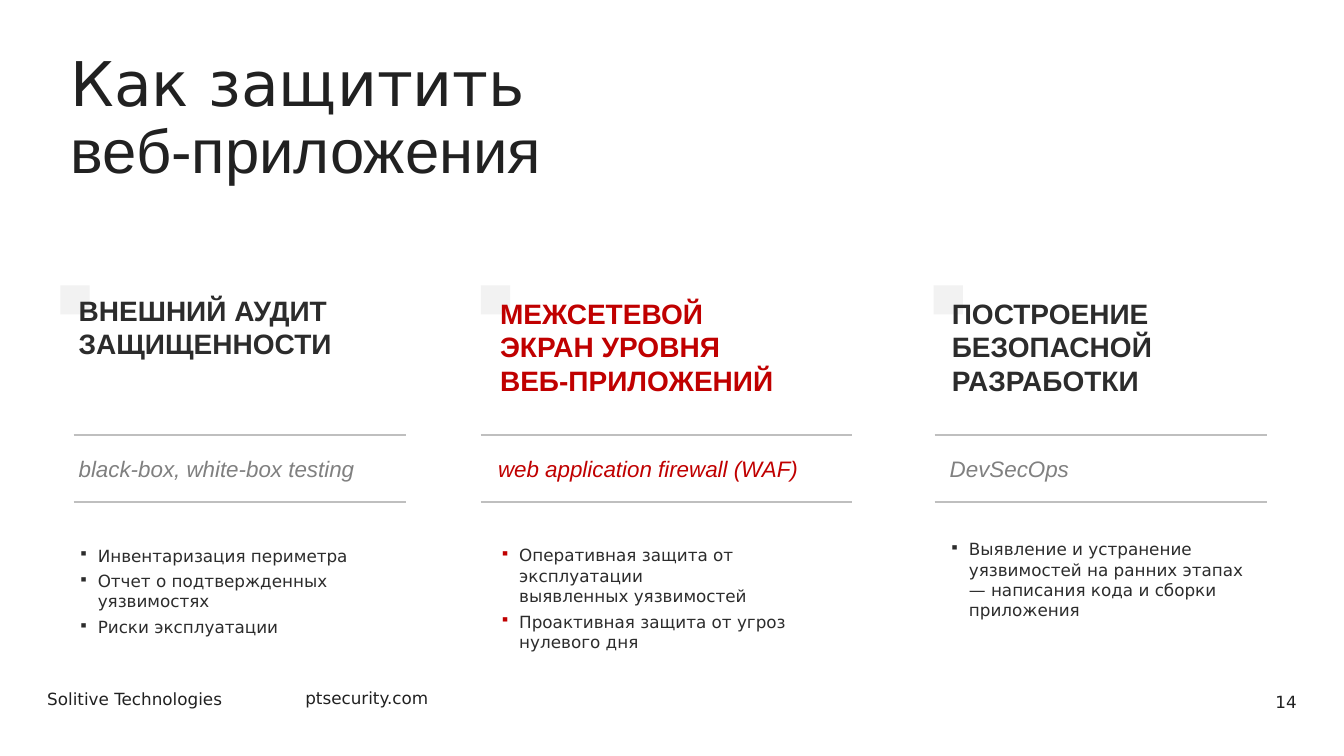
from dataclasses import dataclass

from lxml.etree import SubElement
from pptx import Presentation
from pptx.dml.color import RGBColor
from pptx.enum.shapes import MSO_CONNECTOR, MSO_SHAPE
from pptx.enum.text import MSO_ANCHOR, MSO_AUTO_SIZE, PP_ALIGN
from pptx.oxml.ns import qn
from pptx.util import Inches, Pt


@dataclass(frozen=True)
class Theme:
    ink: str = "212121"
    body: str = "2C2C2C"
    accent: str = "C00000"
    muted: str = "808080"
    rule: str = "BFBFBF"
    marker: str = "F2F2F2"
    sans: str = "DejaVu Sans"
    arial: str = "Arial"
    title_size: int = 44
    heading_size: int = 20
    term_size: int = 16
    small_size: int = 12


THEME = Theme()


@dataclass(frozen=True)
class Column:
    heading: list
    term: str
    bullets: list
    marker_left: float
    rule_left: float
    rule_width: float
    heading_at: tuple  # left, top, width, height
    term_left: float
    bullets_at: tuple
    highlighted: bool = False


COLUMNS = [
    Column(
        ["ВНЕШНИЙ АУДИТ", "ЗАЩИЩЕННОСТИ"],
        "black-box, white-box testing",
        ["Инвентаризация периметра", "Отчет о подтвержденных уязвимостях", "Риски эксплуатации"],
        0.6, 0.73, 3.3, (0.73, 2.86, 3.93, 0.77), 0.73, (0.73, 5.36, 3.3, 0.82),
    ),
    Column(
        ["МЕЖСЕТЕВОЙ\vЭКРАН УРОВНЯ\vВЕБ-ПРИЛОЖЕНИЙ"],
        "web application firewall (WAF)",
        ["Оперативная защита от эксплуатации\vвыявленных уязвимостей",
         "Проактивная защита от угроз\vнулевого дня"],
        4.77, 4.77, 3.68, (4.91, 2.89, 3.93, 1.11), 4.89, (4.91, 5.36, 3.3, 0.96),
        highlighted=True,
    ),
    Column(
        ["ПОСТРОЕНИЕ\vБЕЗОПАСНОЙ\vРАЗРАБОТКИ"],
        "DevSecOps",
        ["Выявление и устранение уязвимостей на ранних этапах "
         "— написания кода и сборки приложения"],
        9.26, 9.27, 3.3, (9.39, 2.89, 3.93, 1.11), 9.37, (9.37, 5.3, 3.2, 0.91),
    ),
]


def style_runs(para, font_name, size, color, bold=False, italic=False):
    for span in para.runs:
        span.font.name = font_name
        span.font.size = Pt(size)
        span.font.color.rgb = RGBColor.from_string(color)
        span.font.bold = bold
        span.font.italic = italic


def add_text(page, at, lines, font_name, size, color, inset=None, **style):
    """Add a text box with one paragraph for each line."""
    box = page.shapes.add_textbox(*map(Inches, at))
    frame = box.text_frame
    frame.word_wrap = True
    if inset is not None:
        frame.margin_left = frame.margin_right = Inches(inset)
        frame.margin_top = frame.margin_bottom = Inches(inset)
    for index, line in enumerate(lines):
        para = frame.add_paragraph() if index else frame.paragraphs[0]
        para.text = line
        style_runs(para, font_name, size, color, **style)
    return frame


def add_bullets(frame, color=None):
    """Give every paragraph a small square bullet with a hanging indent."""
    for index, para in enumerate(frame.paragraphs):
        if index:
            para.space_before = Pt(4)
        properties = para._p.get_or_add_pPr()
        properties.set("marL", str(Inches(0.19)))
        properties.set("indent", str(Inches(-0.19)))
        if color:
            bullet_color = SubElement(properties, qn("a:buClr"))
            SubElement(bullet_color, qn("a:srgbClr"), val=color)
        SubElement(properties, qn("a:buSzPct"), val="80000")
        SubElement(properties, qn("a:buChar"), char="▪")


def add_marker(page, left):
    marker = page.shapes.add_shape(
        MSO_SHAPE.RECTANGLE, Inches(left), Inches(2.83), Inches(0.29), Inches(0.29))
    marker.shadow.inherit = False
    marker.fill.solid()
    marker.fill.fore_color.rgb = RGBColor.from_string(THEME.marker)
    marker.line.fill.background()


def add_rule(page, left, top, width):
    rule = page.shapes.add_connector(
        MSO_CONNECTOR.STRAIGHT, Inches(left), Inches(top), Inches(left + width), Inches(top))
    rule.line.color.rgb = RGBColor.from_string(THEME.rule)
    rule.line.width = Pt(1.5)
    SubElement(rule._element.spPr, qn("a:effectLst"))


def add_column(page, column):
    heading_color = THEME.accent if column.highlighted else THEME.body
    term_color = THEME.accent if column.highlighted else THEME.muted
    add_marker(page, column.marker_left)

    heading = add_text(page, column.heading_at, column.heading, THEME.arial,
                       THEME.heading_size, heading_color, inset=0.05, bold=True)
    term = add_text(page, (column.term_left, 4.47, 3.93, 0.37), [column.term], THEME.arial,
                    THEME.term_size, term_color, inset=0.05, italic=True)
    bullets = add_text(page, column.bullets_at, column.bullets, THEME.sans,
                       THEME.small_size, THEME.body, inset=0.05)
    add_bullets(bullets, THEME.accent if column.highlighted else None)
    for frame in (heading, term, bullets):
        frame.auto_size = MSO_AUTO_SIZE.SHAPE_TO_FIT_TEXT

    for top in (4.32, 4.98):
        add_rule(page, column.rule_left, top, column.rule_width)


def add_title(page):
    frame = add_text(page, (0.6, 0.48, 10.53, 1.56), ["Как защитить\vвеб-приложения"],
                     THEME.sans, THEME.title_size, THEME.ink)
    para = frame.paragraphs[0]
    para.line_spacing = 0.9
    para.runs[1].font.name = THEME.arial


def add_footer(page):
    for at, text in (((0.37, 6.78, 1.98, 0.3), "Solitive Technologies"),
                     ((2.93, 6.77, 1.44, 0.3), "ptsecurity.com")):
        frame = add_text(page, at, [text], THEME.sans, THEME.small_size, THEME.ink)
        frame.word_wrap = False
    number = add_text(page, (10.72, 6.76, 2.24, 0.4), ["14"],
                      THEME.sans, THEME.small_size, THEME.ink)
    number.vertical_anchor = MSO_ANCHOR.MIDDLE
    number.paragraphs[0].alignment = PP_ALIGN.RIGHT


def main():
    deck = Presentation()
    deck.slide_width = Inches(13.33)
    deck.slide_height = Inches(7.5)
    page = deck.slides.add_slide(deck.slide_layouts[6])

    add_title(page)
    for column in COLUMNS:
        add_column(page, column)
    add_footer(page)

    deck.save("out.pptx")


if __name__ == "__main__":
    main()
